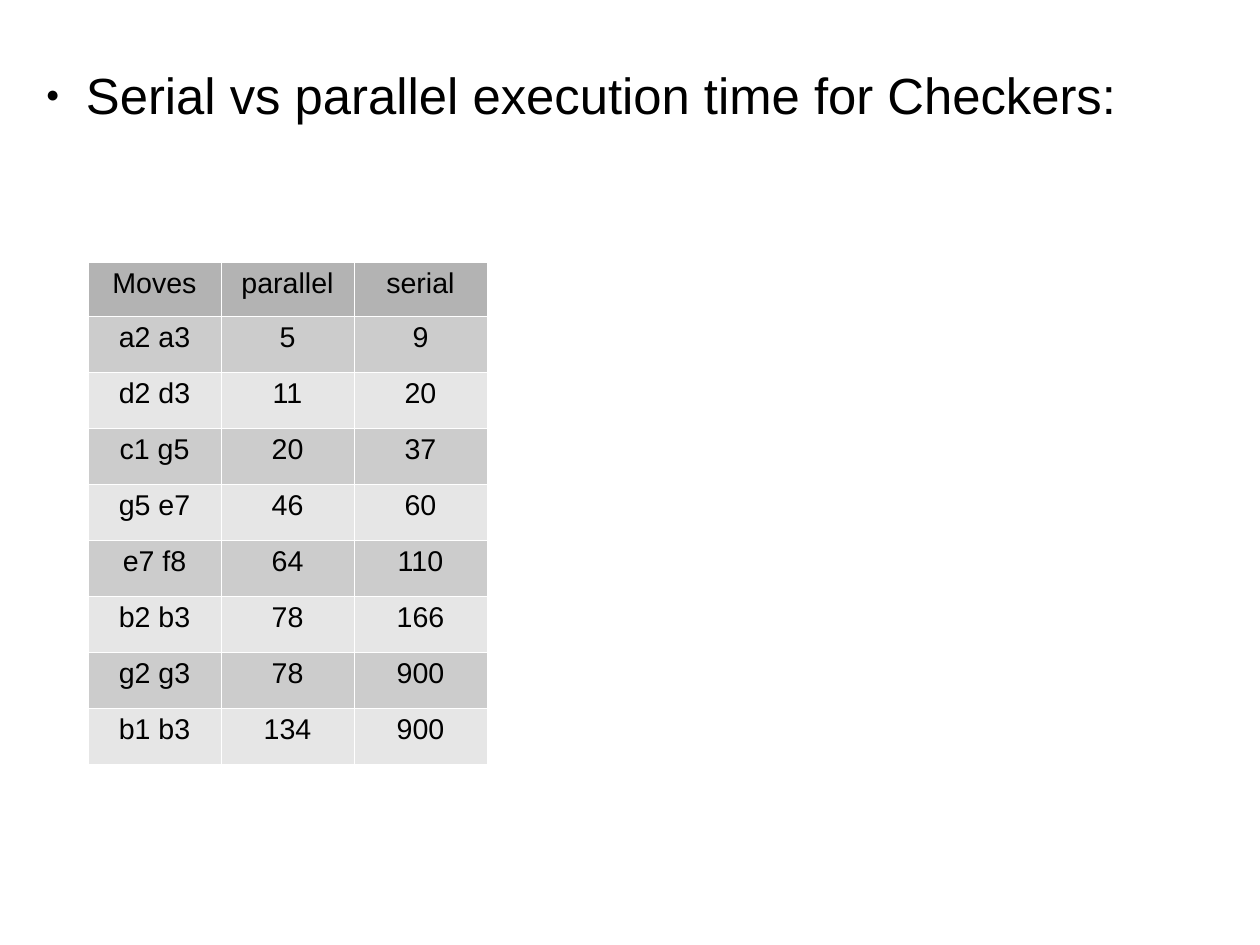
import lxml.etree
import pptx
import pptx.dml.color
import pptx.enum.text
import pptx.oxml
import pptx.oxml.ns
import pptx.util

SCALE = 8000
HEADER = ["Moves", "parallel", "serial"]
TIMINGS = [
    ["a2 a3", 5, 9],
    ["d2 d3", 11, 20],
    ["c1 g5", 20, 37],
    ["g5 e7", 46, 60],
    ["e7 f8", 64, 110],
    ["b2 b3", 78, 166],
    ["g2 g3", 78, 900],
    ["b1 b3", 134, 900],
]


def px(length):
    return pptx.util.Emu(length * SCALE)


def colour(code):
    return pptx.dml.color.RGBColor.from_string(code)


def add_element(parent, tag, **attributes):
    element = lxml.etree.SubElement(parent, pptx.oxml.ns.qn(tag))
    for name, value in attributes.items():
        element.set(name, str(value))
    return element


class SlideBuilder:
    font = "Arial"
    ink = "000000"
    header_fill = "B3B3B3"
    band_fills = ["CCCCCC", "E6E6E6"]
    border = "FFFFFF"

    def __init__(self, page):
        self.page = page

    def style(self, para, size):
        para.font.name = self.font
        para.font.size = pptx.util.Pt(size)
        para.font.color.rgb = colour(self.ink)

    def bullet_text(self, text, left, top, width, height):
        box = self.page.shapes.add_textbox(px(left), px(top), px(width), px(height))
        frame = box.text_frame
        frame.word_wrap = True
        frame.margin_left = frame.margin_right = 0
        frame.margin_top = frame.margin_bottom = 0
        para = frame.paragraphs[0]
        para.text = text
        para.space_after = pptx.util.Pt(14.2)
        self.style(para, 32)
        properties = para._p.get_or_add_pPr()
        properties.set("marL", str(px(54)))
        properties.set("indent", str(px(-40)))
        bullet_colour = pptx.oxml.ns.qn("a:defRPr")
        position = properties.index(properties.find(bullet_colour))
        default_font = properties[position]
        properties.remove(default_font)
        add_element(add_element(properties, "a:buClr"), "a:srgbClr", val=self.ink)
        add_element(properties, "a:buSzPct", val=45000)
        add_element(properties, "a:buFont", typeface=self.font)
        add_element(properties, "a:buChar", char="●")
        properties.append(default_font)

    def cell_borders(self, cell):
        properties = cell._tc.get_or_add_tcPr()
        for position, side in enumerate(["a:lnL", "a:lnR", "a:lnT", "a:lnB"]):
            line = add_element(properties, side, w=720)
            add_element(add_element(line, "a:solidFill"), "a:srgbClr", val=self.border)
            properties.insert(position, line)

    def table(self, rows, left, top, column_width, header_height, row_height):
        columns = len(rows[0])
        height = header_height + row_height * (len(rows) - 1)
        frame = self.page.shapes.add_table(
            len(rows), columns, px(left), px(top), px(column_width * columns), px(height)
        )
        table = frame.table
        table.first_row = False
        table.horz_banding = False
        for column in table.columns:
            column.width = px(column_width)
        for index, values in enumerate(rows):
            table.rows[index].height = px(row_height if index else header_height)
            fill = self.band_fills[(index - 1) % 2] if index else self.header_fill
            for cell, value in zip(table.rows[index].cells, values):
                cell.fill.solid()
                cell.fill.fore_color.rgb = colour(fill)
                self.cell_borders(cell)
                para = cell.text_frame.paragraphs[0]
                para.text = str(value)
                para.alignment = pptx.enum.text.PP_ALIGN.CENTER
                self.style(para, 18)


def main():
    deck = pptx.Presentation()
    deck.slide_width = px(1260)
    deck.slide_height = px(945)
    builder = SlideBuilder(deck.slides.add_slide(deck.slide_layouts[6]))
    builder.bullet_text("Serial vs parallel execution time for Checkers:", 32, 64, 1152, 854)
    builder.table([HEADER] + TIMINGS, 88, 262, 133, 54, 56)
    deck.save("out.pptx")


if __name__ == "__main__":
    main()
